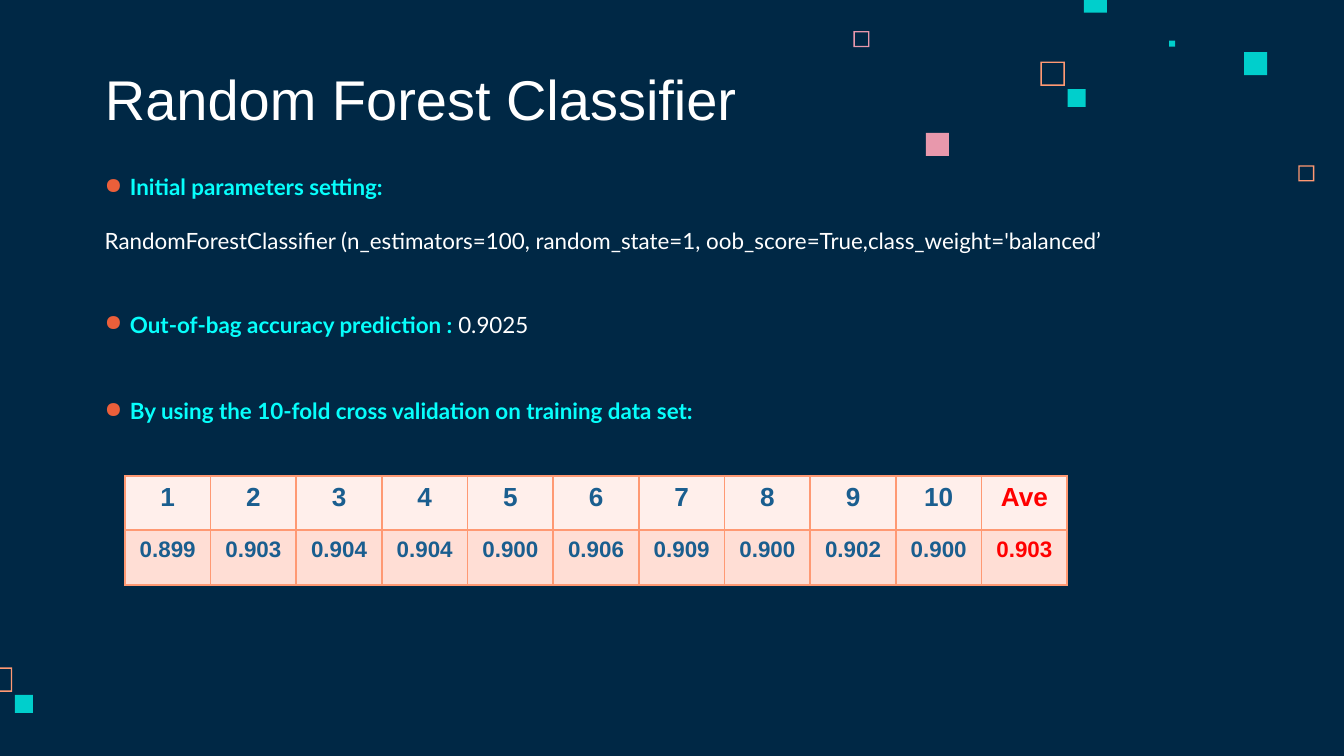
from lxml.etree import SubElement
from pptx import Presentation
from pptx.dml.color import RGBColor
from pptx.enum.shapes import MSO_SHAPE as Shape
from pptx.enum.text import MSO_ANCHOR as Anchor, MSO_AUTO_SIZE as AutoSize, PP_ALIGN as Align
from pptx.oxml.ns import qn
from pptx.util import Pt

NAVY = RGBColor(0x00, 0x28, 0x45)
WHITE = RGBColor(0xFF, 0xFF, 0xFF)
CYAN = RGBColor(0x07, 0xFF, 0xFC)
TEAL = RGBColor(0x00, 0xCF, 0xCC)
PINK = RGBColor(0xE8, 0x98, 0xAC)
ORANGE = RGBColor(0xFF, 0x99, 0x73)
BULLET = RGBColor(0xEB, 0x5F, 0x3A)
BLUE = RGBColor(0x1A, 0x5E, 0x8F)
RED = RGBColor(0xFF, 0x00, 0x00)
HEAD_FILL = RGBColor(0xFF, 0xEF, 0xEB)
SCORE_FILL = RGBColor(0xFF, 0xDE, 0xD5)

# left, top, side, colour
FRAMES = [
    (695.5, 88.6, 8.6, ORANGE),
    (457.2, 16.7, 8.6, PINK),
    (557.4, 33, 13, ORANGE),
    (-6.5, 357.6, 13, ORANGE),
]
SQUARES = [
    (626.3, 21.8, 3.3, TEAL),
    (580.6, -5.6, 12.4, TEAL),
    (666.5, 27.9, 12.4, TEAL),
    (572, 47.7, 9.6, TEAL),
    (496, 71.2, 12.4, PINK),
    (8, 372.3, 9.6, TEAL),
]
FRAME_THICKNESS = 0.72

# bulleted, space before, space after, (text, highlighted) runs
POINTS = [
    (True, 0, 0, [("Initial parameters setting:", True)]),
    (False, 14.4, 14.4, [("RandomForestClassifier (n_estimators=100, random_state=1, "
                          "oob_score=True,class_weight='balanced’", False)]),
    (True, 16, 16, [("Out-of-bag accuracy prediction : ", True), ("0.9025", False)]),
    (True, 16, 16, [("By using the 10-fold cross validation on training data set:", True)]),
]

FOLDS = [str(fold) for fold in range(1, 11)] + ["Ave"]
SCORES = ["0.899", "0.903", "0.904", "0.904", "0.900", "0.906",
          "0.909", "0.900", "0.902", "0.900", "0.903"]


def style_font(font, name, size, colour, bold=False):
    font.name, font.size, font.bold = name, Pt(size), bold
    font.color.rgb = colour


def set_insets(frame):
    frame.margin_left = frame.margin_right = Pt(7.2)
    frame.margin_top = frame.margin_bottom = Pt(7.2)
    frame.auto_size = AutoSize.NONE
    frame.word_wrap = True


def add_square(slide, kind, left, top, side, colour):
    square = slide.shapes.add_shape(kind, Pt(left), Pt(top), Pt(side), Pt(side))
    square.shadow.inherit = False
    square.fill.solid()
    square.fill.fore_color.rgb = colour
    square.line.fill.background()
    return square


def add_title(slide, text):
    title = slide.shapes.title
    title.left, title.top, title.width, title.height = Pt(49), Pt(32.4), Pt(372), Pt(45.4)
    frame = title.text_frame
    frame.text = text
    set_insets(frame)
    frame.vertical_anchor = Anchor.BOTTOM
    heading = frame.paragraphs[0]
    heading.alignment = Align.LEFT
    style_font(heading.runs[0].font, "Arial", 30, WHITE)


def add_bullet(paragraph):
    properties = paragraph._p.get_or_add_pPr()
    properties.set("marL", str(Pt(13.5)))
    properties.set("indent", str(Pt(-13.5)))
    colour = SubElement(properties, qn("a:buClr"))
    SubElement(colour, qn("a:srgbClr"), val=str(BULLET))
    SubElement(properties, qn("a:buChar"), char="●")


def add_points(slide, points):
    frame = slide.shapes.add_textbox(Pt(49), Pt(85.7), Pt(619), Pt(298)).text_frame
    set_insets(frame)
    for index, (bulleted, before, after, parts) in enumerate(points):
        point = frame.add_paragraph() if index else frame.paragraphs[0]
        if bulleted:
            add_bullet(point)
        point.space_before, point.space_after = Pt(before), Pt(after)
        for text, highlighted in parts:
            run = point.add_run()
            run.text = text
            style_font(run.font, "Lato", 12, CYAN if highlighted else WHITE, highlighted)


def add_borders(cell):
    properties = cell._tc.get_or_add_tcPr()
    for position, side in enumerate(("a:lnL", "a:lnR", "a:lnT", "a:lnB")):
        line = properties.makeelement(qn(side), {"w": str(Pt(1))})
        fill = SubElement(line, qn("a:solidFill"))
        SubElement(fill, qn("a:srgbClr"), val=str(ORANGE))
        properties.insert(position, line)


def add_score_table(slide):
    column_width, row_height = 45.9, 29.2
    table = slide.shapes.add_table(2, len(FOLDS), Pt(66.9), Pt(254.9),
                                   Pt(column_width * len(FOLDS)), Pt(row_height * 2)).table
    for column in table.columns:
        column.width = Pt(column_width)
    rows = [(FOLDS, 14, HEAD_FILL), (SCORES, 12, SCORE_FILL)]
    for row, (values, size, fill) in enumerate(rows):
        table.rows[row].height = Pt(row_height)
        for column, value in enumerate(values):
            cell = table.cell(row, column)
            cell.text = value
            cell.fill.solid()
            cell.fill.fore_color.rgb = fill
            add_borders(cell)
            entry = cell.text_frame.paragraphs[0]
            entry.alignment = Align.CENTER
            is_average = column == len(values) - 1
            style_font(entry.runs[0].font, "Arial", size, RED if is_average else BLUE, True)


def main():
    deck = Presentation()
    deck.slide_width, deck.slide_height = Pt(720), Pt(405)
    slide = deck.slides.add_slide(deck.slide_layouts[5])
    slide.background.fill.solid()
    slide.background.fill.fore_color.rgb = NAVY

    # Scattered decoration
    for left, top, side, colour in FRAMES:
        frame = add_square(slide, Shape.FRAME, left, top, side, colour)
        frame.adjustments[0] = FRAME_THICKNESS / side
    for square in SQUARES:
        add_square(slide, Shape.RECTANGLE, *square)

    # Content
    add_title(slide, "Random Forest Classifier")
    add_points(slide, POINTS)
    add_score_table(slide)

    deck.save("out.pptx")


if __name__ == "__main__":
    main()
